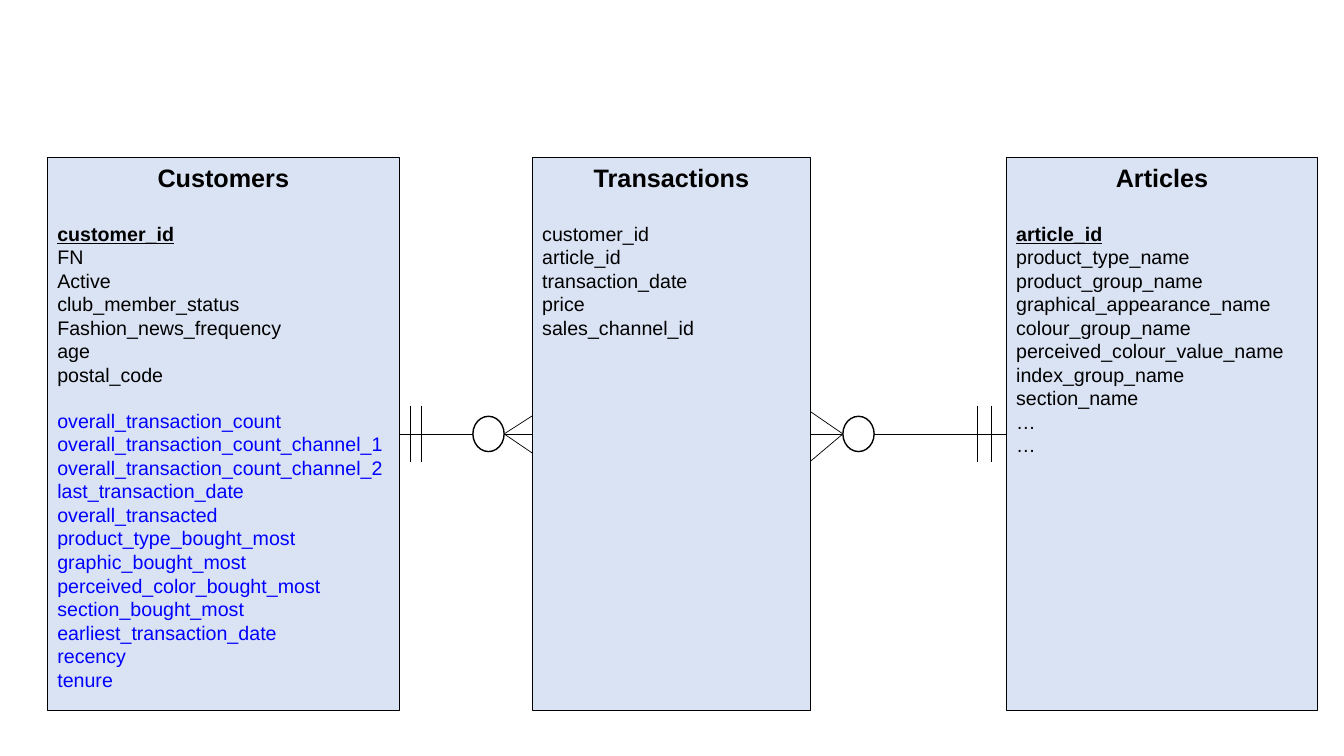
from dataclasses import dataclass

from lxml import etree
from pptx import Presentation
from pptx import util as u
from pptx.dml.color import RGBColor
from pptx.enum import shapes, text
from pptx.oxml.ns import qn


@dataclass(frozen=True)
class Theme:
    font: str = "Arial"
    ink: str = "000000"
    derived: str = "0000FF"
    entity: str = "DAE3F3"
    circle: str = "FFFFFF"
    heading_size: int = 18
    field_size: int = 14
    heading_gap: float = 20.7
    group_gap: float = 16.1
    outline: float = 1
    connector: float = 0.5


THEME = Theme()
TOP, HEIGHT = 1.56, 5.49
CIRCLE_WIDTH, CIRCLE_HEIGHT = 0.31, 0.35
TICK_HALF = 0.28

ENTITIES = {
    "Customers": {
        "left": 0.47, "width": 3.49, "key": "customer_id",
        "fields": ["FN", "Active", "club_member_status", "Fashion_news_frequency",
                   "age", "postal_code"],
        "derived": ["overall_transaction_count", "overall_transaction_count_channel_1",
                    "overall_transaction_count_channel_2", "last_transaction_date",
                    "overall_transacted", "product_type_bought_most",
                    "graphic_bought_most", "perceived_color_bought_most",
                    "section_bought_most", "earliest_transaction_date",
                    "recency", "tenure"],
    },
    "Transactions": {
        "left": 5.28, "width": 2.76,
        "fields": ["customer_id", "article_id", "transaction_date", "price",
                   "sales_channel_id"],
    },
    "Articles": {
        "left": 9.98, "width": 3.09, "key": "article_id",
        "fields": ["product_type_name", "product_group_name",
                   "graphical_appearance_name", "colour_group_name",
                   "perceived_colour_value_name", "index_group_name",
                   "section_name", "…", "…"],
    },
}

RELATIONS = [
    {"one": "Customers", "many": "Transactions", "direction": 1,
     "ticks": (0.11, 0.22), "apex_gap": 0.28, "toes": (-0.18, 0.19)},
    {"one": "Articles", "many": "Transactions", "direction": -1,
     "ticks": (0.15, 0.29), "apex_gap": 0.32, "toes": (-0.22, 0.27)},
]


def set_attributes(target, values):
    for name, value in values.items():
        setattr(target, name, value)


def add_outlined(slide, preset, box, fill):
    shape = slide.shapes.add_shape(preset, *map(u.Inches, box))
    shape.shadow.inherit = False
    shape.fill.solid()
    shape.fill.fore_color.rgb = RGBColor.from_string(fill)
    shape.line.color.rgb = RGBColor.from_string(THEME.ink)
    shape.line.width = u.Pt(THEME.outline)
    return shape


def add_line(slide, start, end):
    line = slide.shapes.add_connector(
        shapes.MSO_CONNECTOR.STRAIGHT, *map(u.Inches, (*start, *end)))
    line.line.color.rgb = RGBColor.from_string(THEME.ink)
    line.line.width = u.Pt(THEME.connector)
    etree.SubElement(line._element.spPr, qn("a:effectLst"))
    return line


def write_paragraph(paragraph, wording, color=THEME.ink, space_before=0,
                    alignment=text.PP_ALIGN.LEFT, **font_format):
    set_attributes(paragraph, {"alignment": alignment,
                               "space_before": u.Pt(space_before)})
    run = paragraph.add_run()
    run.text = wording
    values = {"name": THEME.font, "size": u.Pt(THEME.field_size),
              "bold": False, "underline": False}
    set_attributes(run.font, {**values, **font_format})
    run.font.color.rgb = RGBColor.from_string(color)


def add_entity(slide, box, name, entity):
    shape = add_outlined(slide, shapes.MSO_SHAPE.RECTANGLE, box, THEME.entity)
    frame = shape.text_frame
    set_attributes(frame, {"word_wrap": True, "vertical_anchor": text.MSO_ANCHOR.TOP})
    write_paragraph(frame.paragraphs[0], name, bold=True,
                    size=u.Pt(THEME.heading_size), alignment=text.PP_ALIGN.CENTER)

    rows = [(field, {}) for field in entity["fields"]]
    if "key" in entity:
        rows.insert(0, (entity["key"], {"bold": True, "underline": True}))
    rows[0][1]["space_before"] = THEME.heading_gap
    for index, field in enumerate(entity.get("derived", [])):
        gap = THEME.group_gap if index == 0 else 0
        rows.append((field, {"color": THEME.derived, "space_before": gap}))

    for field, values in rows:
        write_paragraph(frame.add_paragraph(), field, **values)
    return shape


def add_relation(slide, boxes, one, many, direction, ticks, apex_gap, toes):
    one_side, many_side = (3, 1) if direction == 1 else (1, 3)
    edges = {side: {name: entity["left"] + (entity["width"] if side == 3 else 0)
                    for name, entity in ENTITIES.items()} for side in (1, 3)}
    one_x, many_x = edges[one_side][one], edges[many_side][many]
    middle = TOP + HEIGHT / 2
    apex = many_x - direction * apex_gap

    link = add_line(slide, (one_x, middle), (many_x, middle))
    link.begin_connect(boxes[one], one_side)
    link.end_connect(boxes[many], many_side)
    for offset in ticks:
        x = one_x + direction * offset
        add_line(slide, (x, middle - TICK_HALF), (x, middle + TICK_HALF))
    for offset in toes:
        add_line(slide, (apex, middle), (many_x, middle + offset))
    circle_left = min(apex, apex - direction * CIRCLE_WIDTH)
    circle_box = (circle_left, middle - CIRCLE_HEIGHT / 2, CIRCLE_WIDTH, CIRCLE_HEIGHT)
    add_outlined(slide, shapes.MSO_SHAPE.OVAL, circle_box, THEME.circle)


def add_diagram(slide):
    boxes = {name: add_entity(slide, (entity["left"], TOP, entity["width"], HEIGHT),
                              name, entity)
             for name, entity in ENTITIES.items()}
    for relation in RELATIONS:
        add_relation(slide, boxes, **relation)


def main():
    presentation = Presentation()
    set_attributes(presentation, {"slide_width": u.Inches(13.33),
                                  "slide_height": u.Inches(7.5)})
    slide = presentation.slides.add_slide(presentation.slide_layouts[6])
    add_diagram(slide)
    presentation.save("out.pptx")


if __name__ == "__main__":
    main()
